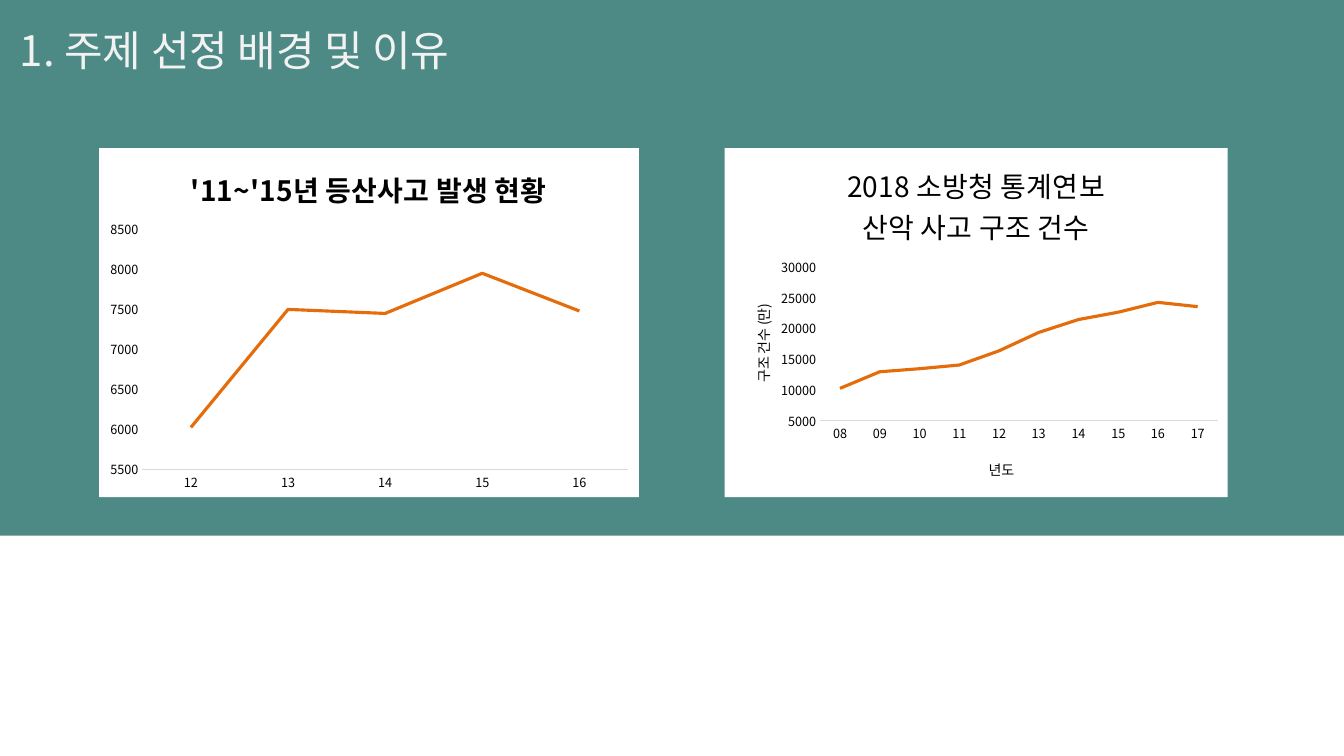
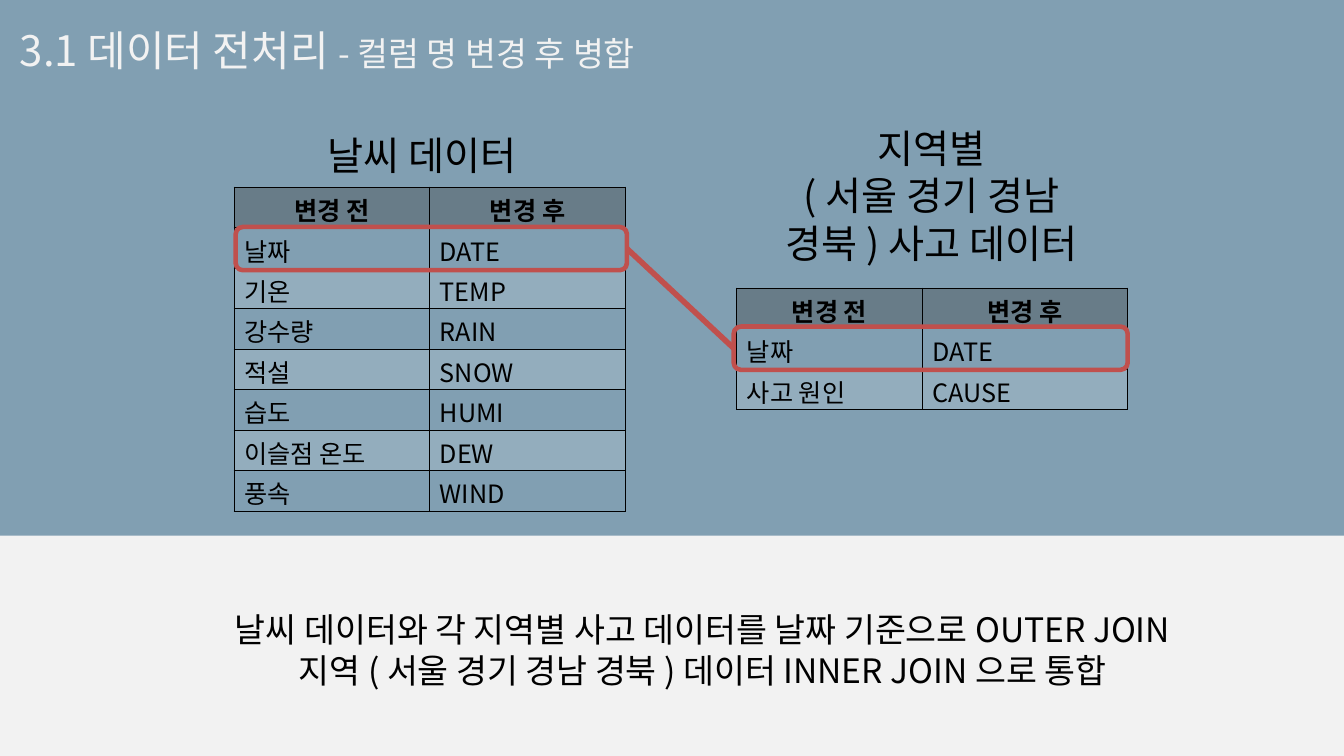
from lxml.etree import SubElement
from pptx import Presentation
from pptx.chart.data import CategoryChartData
from pptx.dml.color import RGBColor
from pptx.enum.chart import XL_CHART_TYPE, XL_TICK_MARK
from pptx.enum.shapes import MSO_CONNECTOR, MSO_SHAPE
from pptx.enum.text import MSO_ANCHOR, MSO_AUTO_SIZE, PP_ALIGN
from pptx.oxml import parse_xml
from pptx.oxml.ns import nsdecls, qn
from pptx.util import Cm, Pt

COLORS = {
    "black": "000000",
    "white": "FFFFFF",
    "light": "F2F2F2",
    "green": "4D8A85",
    "blue": "658BA3",
    "header": "687C88",
    "orange": "E46C0A",
    "red": "C0504D",
    "axis": "D9D9D9",
}
FONT = "Noto Sans CJK KR"
WIDTH, HEIGHT, BAND_HEIGHT = 33.87, 19.05, 13.5
ROW_HEIGHT = 1.02


def rgb(name):
    return RGBColor.from_string(COLORS[name])


def set_font(font, size, color="black", bold=False):
    font.size, font.bold, font.name = Pt(size), bold, FONT
    font.color.rgb = rgb(color)
    SubElement(font._element, qn("a:ea")).set("typeface", FONT)


def set_alpha(element, percent):
    clr = next(element.iter(qn("a:srgbClr")))
    SubElement(clr, qn("a:alpha")).set("val", str(percent * 1000))


def set_text(tf, text, size, align=PP_ALIGN.CENTER, bold=False, spacing=None):
    tf.text = text
    for p in tf.paragraphs:
        p.alignment = align
        if spacing:
            p.line_spacing = Pt(spacing)
        for r in p.runs:
            set_font(r.font, size, bold=bold)


def set_layout(parent, index, **sizes):
    for old in parent.findall(qn("c:layout")):
        parent.remove(old)
    layout = parse_xml(f"<c:layout {nsdecls('c')}/>")
    manual = SubElement(layout, qn("c:manualLayout"))
    if "w" in sizes:
        SubElement(manual, qn("c:layoutTarget")).set("val", "inner")
    for side in "xy":
        SubElement(manual, qn(f"c:{side}Mode")).set("val", "edge")
    for name, value in sizes.items():
        SubElement(manual, qn(f"c:{name}")).set("val", str(value))
    parent.insert(index, layout)


class Deck:
    """Holds the presentation, its shared style and the current slide."""

    def __init__(self):
        self.prs = Presentation()
        self.prs.slide_width, self.prs.slide_height = Cm(WIDTH), Cm(HEIGHT)
        self.s = None

    def slide(self, title, background, band, subtitle="", alpha=None):
        self.s = self.prs.slides.add_slide(self.prs.slide_layouts[5])
        self.s.background.fill.solid()
        self.s.background.fill.fore_color.rgb = rgb(background)
        self.title(title, subtitle)
        sp = self.s.shapes.add_shape(
            MSO_SHAPE.RECTANGLE, 0, 0, Cm(WIDTH), Cm(BAND_HEIGHT))
        sp.shadow.inherit = False
        sp.fill.solid()
        sp.fill.fore_color.rgb = rgb(band)
        sp.line.fill.background()
        if alpha:
            set_alpha(sp.element.spPr, alpha)
        self.s.shapes.title.element.addprevious(sp.element)

    def title(self, text, subtitle):
        sp = self.s.shapes.title
        sp.left, sp.top, sp.width, sp.height = Cm(0.25), Cm(0.13), Cm(28), Cm(2.03)
        tf = sp.text_frame
        tf.auto_size, tf.word_wrap = MSO_AUTO_SIZE.NONE, True
        tf.vertical_anchor = MSO_ANCHOR.TOP
        tf.margin_top, tf.margin_bottom = Cm(0.48), 0
        p = tf.paragraphs[0]
        p.alignment = PP_ALIGN.LEFT
        for part, size in ((text, 30), (subtitle, 24)):
            if part:
                r = p.add_run()
                r.text = part
                set_font(r.font, size, "light")

    def text(self, text, x, y, w, h, size, spacing, anchor=MSO_ANCHOR.MIDDLE):
        sp = self.s.shapes.add_textbox(Cm(x), Cm(y), Cm(w), Cm(h))
        tf = sp.text_frame
        tf.word_wrap, tf.vertical_anchor = True, anchor
        set_text(tf, text, size, spacing=spacing)

    def chart(self, title, x, w, cats, values, scale, plot, bold=False):
        data = CategoryChartData()
        data.categories = cats
        data.add_series("Series 1", values)
        chart = self.s.shapes.add_chart(
            XL_CHART_TYPE.LINE, Cm(x), Cm(3.73), Cm(w), Cm(8.8), data).chart
        chart.has_legend = False
        chart.font.size, chart.font.name = Pt(10), "Calibri"
        chart.has_title = True
        set_text(chart.chart_title.text_frame, title, 20, bold=bold)
        chart.chart_title.include_in_layout = False
        chart.plots[0].vary_by_categories = False
        series = chart.series[0]
        series.smooth = False
        series.format.line.width = Pt(2.25)
        series.format.line.color.rgb = rgb("orange")
        for axis in (chart.category_axis, chart.value_axis):
            axis.has_major_gridlines = False
            axis.major_tick_mark = axis.minor_tick_mark = XL_TICK_MARK.NONE
            set_font(axis.tick_labels.font, 9)
        chart.category_axis.format.line.color.rgb = rgb("axis")
        chart.category_axis.format.line.width = Pt(0.75)
        axis = chart.value_axis
        axis.format.line.fill.background()
        axis.minimum_scale, axis.maximum_scale, axis.major_unit = scale
        space = chart.element
        space.find(qn("c:txPr")).addprevious(parse_xml(
            f"<c:spPr {nsdecls('c', 'a')}><a:solidFill>"
            f"<a:srgbClr val=\"{COLORS['white']}\"/></a:solidFill>"
            "<a:ln><a:noFill/></a:ln></c:spPr>"))
        set_layout(next(space.iter(qn("c:plotArea"))), 0, **plot)
        return chart

    def axis_title(self, axis, text, x, y):
        axis.has_title = True
        set_text(axis.axis_title.text_frame, text, 10)
        set_layout(axis.axis_title.element, 1, x=x, y=y)

    def table(self, x, y, widths, rows):
        table = self.s.shapes.add_table(
            len(rows), len(widths), Cm(x), Cm(y),
            Cm(sum(widths)), Cm(ROW_HEIGHT * len(rows))).table
        table.horz_banding = False
        for column, width in zip(table.columns, widths):
            column.width = Cm(width)
        for i, row in enumerate(rows):
            table.rows[i].height = Cm(ROW_HEIGHT)
            for j, text in enumerate(row):
                self.cell(table.cell(i, j), text, i)

    def cell(self, cell, text, row):
        header = row == 0
        align = PP_ALIGN.CENTER if header else PP_ALIGN.LEFT
        set_text(cell.text_frame, text, 18, align, header)
        cell.margin_top, cell.margin_bottom = Cm(0.1), 0
        tc_pr = cell._tc.get_or_add_tcPr()
        if row % 2:
            cell.fill.background()
        else:
            cell.fill.solid()
            cell.fill.fore_color.rgb = rgb("header" if header else "white")
            if not header:
                set_alpha(tc_pr, 15)
        for i, side in enumerate("LRTB"):
            tc_pr.insert(i, parse_xml(
                f"<a:ln{side} {nsdecls('a')} w=\"{Pt(1)}\"><a:solidFill>"
                f"<a:srgbClr val=\"{COLORS['black']}\"/></a:solidFill></a:ln{side}>"))

    def frame(self, x, y, w):
        sp = self.s.shapes.add_shape(
            MSO_SHAPE.ROUNDED_RECTANGLE, Cm(x), Cm(y), Cm(w), Cm(1.09))
        sp.shadow.inherit = False
        sp.fill.background()
        sp.line.color.rgb = rgb("red")
        sp.line.width = Pt(3.25)
        return sp

    def link(self, start, end):
        line = self.s.shapes.add_connector(MSO_CONNECTOR.STRAIGHT, 0, 0, 0, 0)
        line.begin_connect(start, 3)
        line.end_connect(end, 1)
        line.line.color.rgb = rgb("red")
        line.line.width = Pt(4)
        SubElement(line.element.spPr, qn("a:effectLst"))


def accident_slide(deck):
    deck.slide("1. 주제 선정 배경 및 이유", "white", "green")
    deck.chart("'11~'15년 등산사고 발생 현황", 2.5, 13.6,
               [str(year) for year in range(12, 17)],
               [6020, 7490, 7440, 7940, 7470], (5500, 8500, 500),
               dict(x=0.08, y=0.23, w=0.9, h=0.69), bold=True)
    chart = deck.chart("2018 소방청 통계연보\n산악 사고 구조 건수", 18.26, 12.68,
                       [f"{year:02}" for year in range(8, 18)],
                       [10200, 12900, 13400, 14000, 16300,
                        19300, 21400, 22600, 24200, 23500],
                       (5000, 30000, 5000),
                       dict(x=0.19, y=0.34, w=0.79, h=0.44))
    deck.axis_title(chart.category_axis, "년도", 0.52, 0.88)
    deck.axis_title(chart.value_axis, "구조 건수 (만)", 0.05, 0.44)


def merge_slide(deck):
    deck.slide("3.1 데이터 전처리 ", "light", "blue", "- 컬럼 명 변경 후 병합", 80)
    deck.text("날씨 데이터와 각 지역별 사고 데이터를 날짜 기준으로 OUTER JOIN\n"
              "지역 ( 서울 경기 경남 경북 ) 데이터 INNER JOIN 으로 통합",
              4.52, 15.21, 26.37, 3.33, 24, 29, MSO_ANCHOR.TOP)
    header, date = ("변경 전", "변경 후"), ("날짜", "DATE")
    deck.table(5.9, 4.72, (4.93, 4.93), [
        header, date, ("기온", "TEMP"), ("강수량", "RAIN"), ("적설", "SNOW"),
        ("습도", "HUMI"), ("이슬점 온도", "DEW"), ("풍속", "WIND")])
    deck.table(18.57, 7.26, (4.67, 5.18), [header, date, ("사고 원인", "CAUSE")])
    deck.text("날씨 데이터", 7.34, 3.1, 6.6, 1.6, 28, 34)
    deck.text("지역별\n( 서울 경기 경남 경북 ) 사고 데이터",
              18.77, 4.11, 9.4, 1.6, 28, 34)
    deck.link(deck.frame(5.94, 5.72, 9.86), deck.frame(18.49, 8.23, 9.93))


def main():
    deck = Deck()
    accident_slide(deck)
    merge_slide(deck)
    deck.prs.save("out.pptx")


if __name__ == "__main__":
    main()
